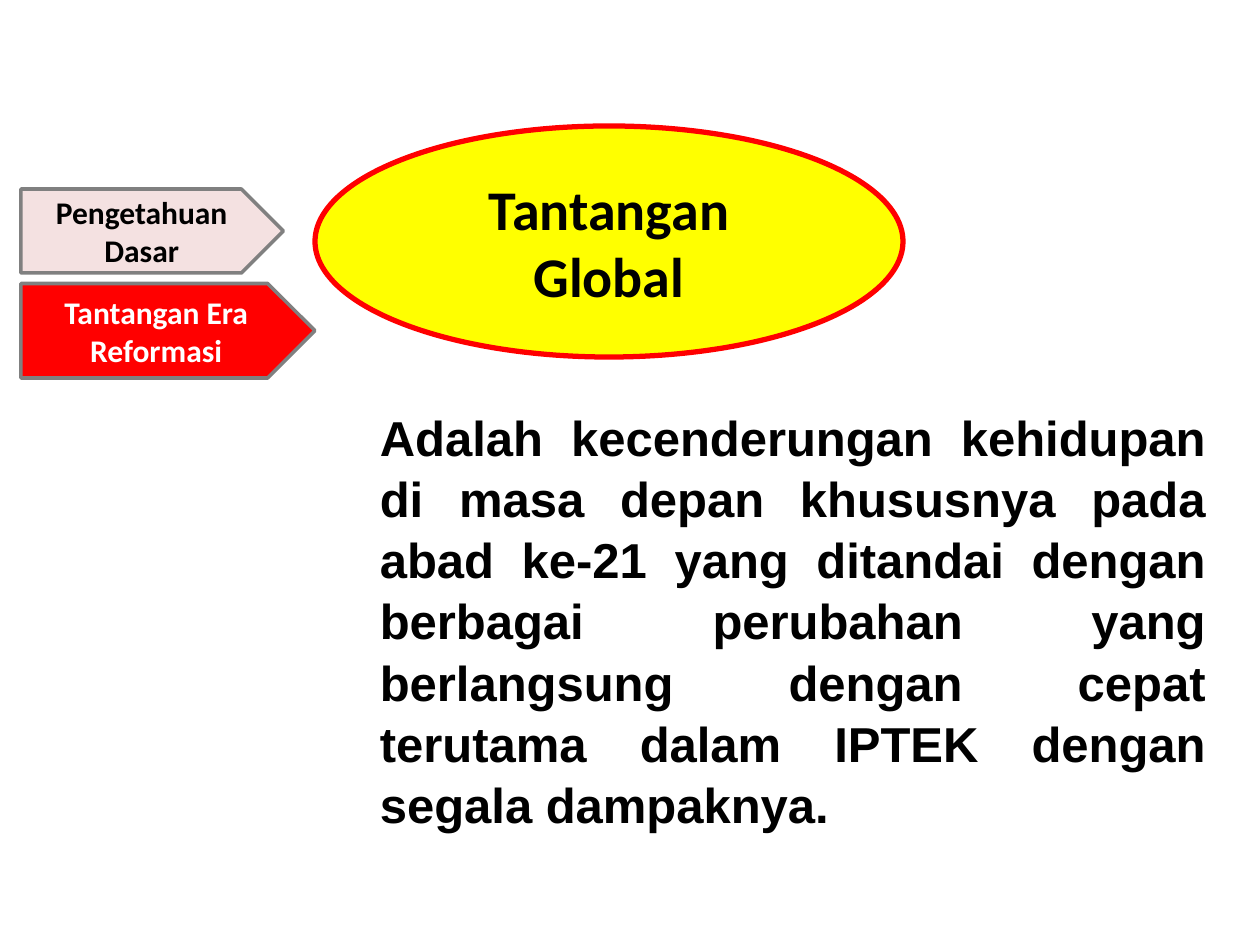
from dataclasses import dataclass

from lxml import etree
from pptx import Presentation
from pptx import util as u
from pptx.dml.color import RGBColor
from pptx.enum import shapes, text
from pptx.oxml import ns


@dataclass(frozen=True)
class Theme:
    black: str = "000000"
    white: str = "FFFFFF"
    red: str = "FF0000"
    yellow: str = "FFFF00"
    pink: str = "E6B9B8"
    grey: str = "808080"
    heading_font: str = "Calibri"
    body_font: str = "Arial"
    title_size: int = 32
    body_size: int = 28
    label_size: int = 18


class SlideBuilder:
    """Places elements on a grid of 120 columns by 90 rows."""

    COLUMNS, ROWS = 120, 90

    def __init__(self, presentation, theme):
        self.theme = theme
        self.cell_width = presentation.slide_width / self.COLUMNS
        self.cell_height = presentation.slide_height / self.ROWS
        self.slide = presentation.slides.add_slide(presentation.slide_layouts[6])

    def place(self, column, row, columns, rows):
        return (round(column * self.cell_width), round(row * self.cell_height),
                round(columns * self.cell_width), round(rows * self.cell_height))

    def set_text(self, shape, wording, font_name, size, color, alignment):
        frame = shape.text_frame
        frame.text = wording
        frame.word_wrap = True
        paragraph = frame.paragraphs[0]
        paragraph.alignment = alignment
        font = paragraph.runs[0].font
        font.name, font.size, font.bold = font_name, u.Pt(size), True
        font.color.rgb = RGBColor.from_string(color)
        return paragraph

    def block(self, kind, grid, wording, size, color, fill, line, line_width,
              opacity=None):
        shape = self.slide.shapes.add_shape(kind, *self.place(*grid))
        shape.shadow.inherit = False
        shape.fill.solid()
        shape.fill.fore_color.rgb = RGBColor.from_string(fill)
        if opacity is not None:
            fill_color = shape.element.spPr.find(ns.qn("a:solidFill"))[0]
            etree.SubElement(fill_color, ns.qn("a:alpha"), val=str(opacity * 1000))
        shape.line.color.rgb = RGBColor.from_string(line)
        shape.line.width = u.Pt(line_width)
        shape.text_frame.vertical_anchor = text.MSO_ANCHOR.MIDDLE
        self.set_text(shape, wording, self.theme.heading_font, size, color,
                      text.PP_ALIGN.CENTER)

    def title_oval(self, grid, wording):
        theme = self.theme
        self.block(shapes.MSO_SHAPE.OVAL, grid, wording, theme.title_size,
                   theme.black, theme.yellow, theme.red, 3)

    def tab(self, grid, wording, color, fill, opacity=None):
        theme = self.theme
        self.block(shapes.MSO_SHAPE.PENTAGON, grid, wording, theme.label_size,
                   color, fill, theme.grey, 2, opacity)

    def body(self, grid, wording):
        theme = self.theme
        box = self.slide.shapes.add_textbox(*self.place(*grid))
        paragraph = self.set_text(box, wording, theme.body_font, theme.body_size,
                                  theme.black, text.PP_ALIGN.JUSTIFY)
        paragraph.line_spacing = 1.04


def main():
    presentation = Presentation()
    presentation.slide_width, presentation.slide_height = u.Inches(10), u.Inches(7.5)
    theme = Theme()
    builder = SlideBuilder(presentation, theme)

    # Topic and its definition
    builder.title_oval((30, 12, 56, 22), "Tantangan Global")
    builder.body((35, 38, 81, 40.8),
                 "Adalah kecenderungan kehidupan di masa depan khususnya pada "
                 "abad ke-21 yang ditandai dengan berbagai perubahan yang "
                 "berlangsung dengan cepat terutama dalam IPTEK dengan segala "
                 "dampaknya.")

    # Section tabs, the current one in red
    builder.tab((2, 27, 28, 9), "Tantangan Era Reformasi", theme.white, theme.red)
    builder.tab((2, 18, 25, 8), "Pengetahuan Dasar", theme.black, theme.pink,
                opacity=42)

    presentation.save("out.pptx")


if __name__ == "__main__":
    main()
